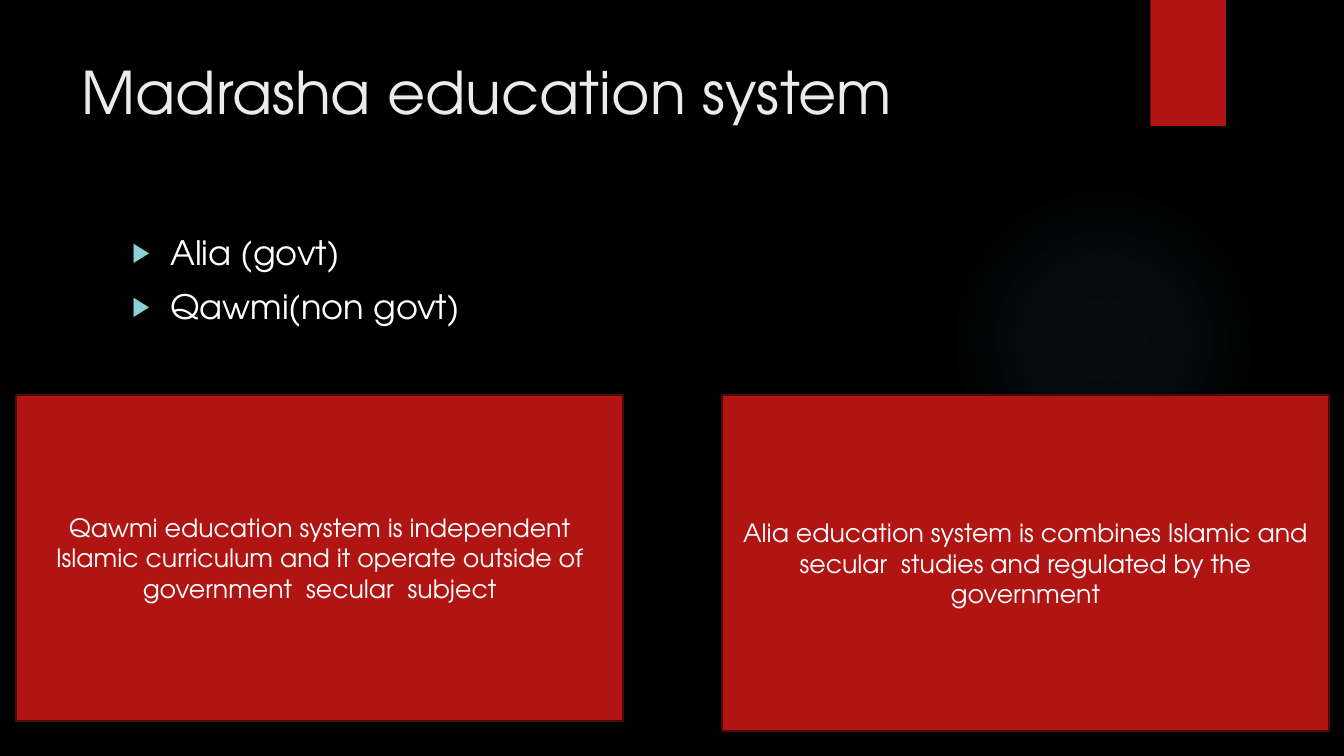
from lxml.etree import SubElement
from pptx import Presentation
from pptx.dml.color import RGBColor
from pptx.enum.shapes import MSO_SHAPE as Shape
from pptx.enum.text import MSO_ANCHOR as Anchor, MSO_AUTO_SIZE as AutoSize, PP_ALIGN as Align
from pptx.oxml import parse_xml
from pptx.oxml.ns import nsdecls, qn
from pptx.util import Inches, Pt

FONT = "TeX Gyre Adventor"
BLACK = RGBColor(0x00, 0x00, 0x00)
WHITE = RGBColor(0xFF, 0xFF, 0xFF)
TITLE_GREY = RGBColor(0xEB, 0xEB, 0xEB)
RED = RGBColor(0xB0, 0x15, 0x13)
DARK_RED = RGBColor(0x4D, 0x09, 0x08)
TEAL = RGBColor(0x50, 0xB9, 0xC1)
BULLET_TEAL = RGBColor(0x8A, 0xD0, 0xD6)

GLOW_STOPS = [(0, 7), (36, 6), (69, 0), (100, 0)]
SYSTEMS = ["Alia (govt)", "Qawmi(non govt)"]
CARDS = [
    ("Alia education system is combines Islamic and secular  studies "
     "and regulated by the government", (7.16, 3.92, 6.02, 3.33)),
    ("Qawmi education system is independent Islamic curriculum and it "
     "operate outside of government  secular  subject", (0.16, 3.92, 6.02, 3.23)),
]


def place(shape, box):
    shape.left, shape.top, shape.width, shape.height = map(Inches, box)


def write(paragraph, text, size=18, color=WHITE, align=Align.LEFT):
    paragraph.alignment = align
    run = paragraph.add_run()
    run.text = text
    run.font.name = FONT
    run.font.size = Pt(size)
    run.font.color.rgb = color


def prepare_frame(shape, anchor=Anchor.TOP):
    frame = shape.text_frame
    frame.word_wrap = True
    frame.auto_size = AutoSize.NONE
    frame.vertical_anchor = anchor
    return frame


def add_block(slide, kind, box, line=None):
    shape = slide.shapes.add_shape(kind, *map(Inches, box))
    shape.shadow.inherit = False
    shape.fill.solid()
    shape.fill.fore_color.rgb = RED
    if line is None:
        shape.line.fill.background()
    else:
        shape.line.color.rgb = line
        shape.line.width = Pt(1.5)
    return shape


def add_glow(slide, box):
    glow = add_block(slide, Shape.OVAL, box)
    stops = "".join(
        f'<a:gs pos="{position * 1000}"><a:srgbClr val="{TEAL}">'
        f'<a:alpha val="{alpha * 1000}"/></a:srgbClr></a:gs>'
        for position, alpha in GLOW_STOPS
    )
    gradient = parse_xml(
        f'<a:gradFill {nsdecls("a")} rotWithShape="1"><a:gsLst>{stops}</a:gsLst>'
        '<a:path path="circle"><a:fillToRect l="50000" t="50000" r="50000" b="50000"/>'
        '</a:path></a:gradFill>'
    )
    properties = glow.element.spPr
    properties.replace(properties.find(qn("a:solidFill")), gradient)
    return glow


def add_backdrop(slide):
    slide.background.fill.solid()
    slide.background.fill.fore_color.rgb = BLACK
    glow = add_glow(slide, (9.41, 1.83, 3.08, 3.08))
    tab = add_block(slide, Shape.RECTANGLE, (11.41, 0, 0.75, 1.25))
    for shape in (glow, tab):
        slide.shapes.title.element.addprevious(shape.element)


def add_title(slide, text, box):
    title = slide.shapes.title
    place(title, box)
    write(prepare_frame(title).paragraphs[0], text, size=42, color=TITLE_GREY)


def add_bullet(paragraph):
    properties = paragraph._p.get_or_add_pPr()
    properties.set("marL", str(Inches(0.38)))
    properties.set("indent", str(-Inches(0.38)))
    color = SubElement(properties, qn("a:buClr"))
    SubElement(color, qn("a:srgbClr"), val=str(BULLET_TEAL))
    SubElement(properties, qn("a:buSzPct"), val="80000")
    SubElement(properties, qn("a:buChar"), char="▶")


def add_list(slide, items, box):
    body = slide.placeholders[1]
    place(body, box)
    frame = prepare_frame(body)
    for index, item in enumerate(items):
        paragraph = frame.add_paragraph() if index else frame.paragraphs[0]
        paragraph.space_before = Pt(10)
        add_bullet(paragraph)
        write(paragraph, item, size=24)


def add_card(slide, text, box):
    card = add_block(slide, Shape.RECTANGLE, box, line=DARK_RED)
    frame = prepare_frame(card, anchor=Anchor.MIDDLE)
    write(frame.paragraphs[0], text, align=Align.CENTER)


def main():
    presentation = Presentation()
    presentation.slide_width = Inches(13.33)
    presentation.slide_height = Inches(7.5)
    slide = presentation.slides.add_slide(presentation.slide_layouts[1])
    add_backdrop(slide)
    add_title(slide, "Madrasha education system", (0.71, 0.5, 10.29, 1.53))
    add_list(slide, SYSTEMS, (1.21, 2.25, 9.78, 4.59))
    for text, box in CARDS:
        add_card(slide, text, box)
    presentation.save("out.pptx")


if __name__ == "__main__":
    main()
